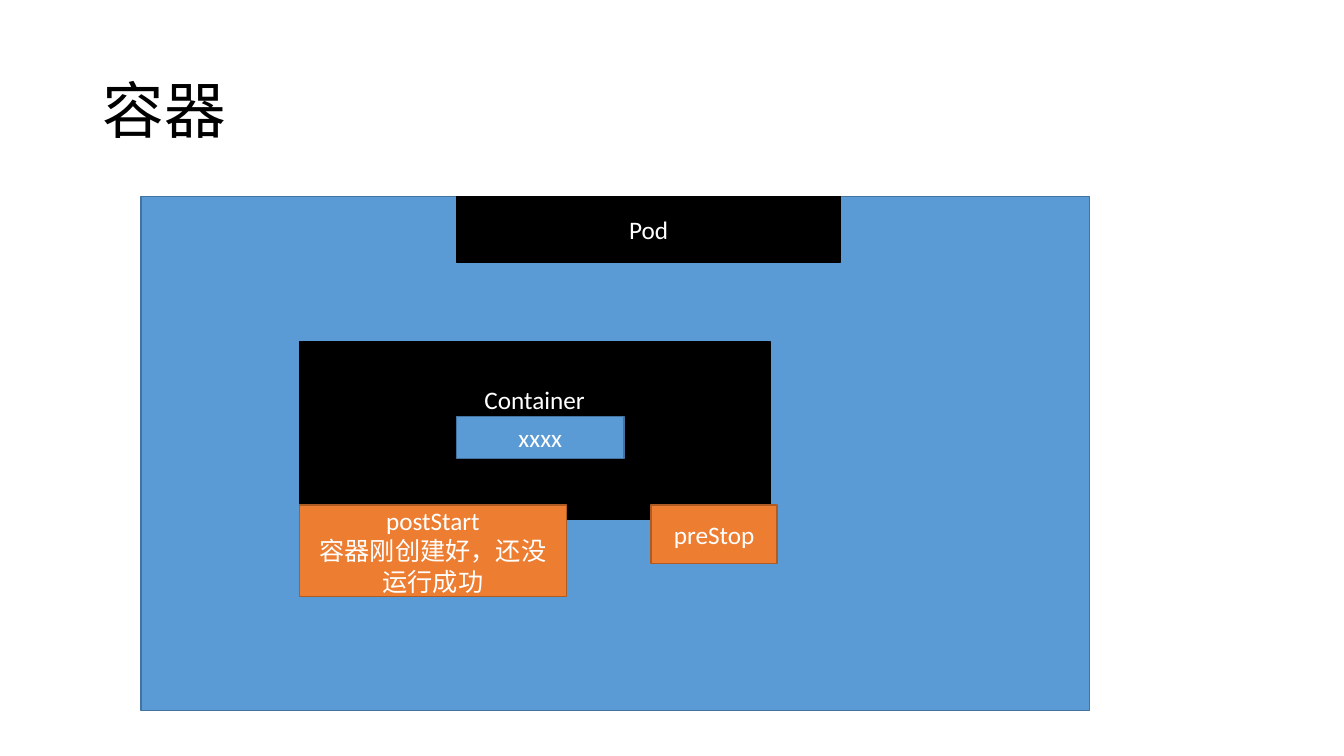
from dataclasses import dataclass

from pptx import Presentation
from pptx.dml.color import RGBColor
from pptx.enum.shapes import MSO_SHAPE
from pptx.enum.text import MSO_ANCHOR, PP_ALIGN
from pptx.util import Pt


@dataclass(frozen=True)
class Theme:
    font: str = "Calibri"
    title_size: float = 44
    body_size: float = 18
    black: str = "000000"
    white: str = "FFFFFF"
    blue: str = "5B9BD5"
    blue_edge: str = "43739E"
    orange: str = "ED7D31"
    orange_edge: str = "AF5C24"


THEME = Theme()
BLACK_STYLE = (THEME.black, THEME.black)
BLUE_STYLE = (THEME.blue, THEME.blue_edge)
ORANGE_STYLE = (THEME.orange, THEME.orange_edge)


def style_paragraph(para, size, color):
    para.font.name = THEME.font
    para.font.size = Pt(size)
    para.font.color.rgb = RGBColor.from_string(color)


def add_title(page, text, left, top, width, height):
    box = page.shapes.add_textbox(Pt(left), Pt(top), Pt(width), Pt(height))
    frame = box.text_frame
    frame.word_wrap = True
    frame.vertical_anchor = MSO_ANCHOR.MIDDLE
    para = frame.paragraphs[0]
    para.text = text
    para.line_spacing = 0.9
    style_paragraph(para, THEME.title_size, THEME.black)


def add_block(page, style, left, top, width, height, text="", bottom_inset=3.6):
    fill, edge = style
    block = page.shapes.add_shape(
        MSO_SHAPE.RECTANGLE, Pt(left), Pt(top), Pt(width), Pt(height))
    block.shadow.inherit = False
    block.fill.solid()
    block.fill.fore_color.rgb = RGBColor.from_string(fill)
    block.line.color.rgb = RGBColor.from_string(edge)
    block.line.width = Pt(1)
    if not text:
        return
    frame = block.text_frame
    frame.word_wrap = True
    frame.vertical_anchor = MSO_ANCHOR.MIDDLE
    frame.margin_bottom = Pt(bottom_inset)
    frame.text = text
    for para in frame.paragraphs:
        para.alignment = PP_ALIGN.CENTER
        style_paragraph(para, THEME.body_size, THEME.white)


def main():
    deck = Presentation()
    deck.slide_width, deck.slide_height = Pt(960), Pt(540)
    page = deck.slides.add_slide(deck.slide_layouts[6])

    add_title(page, "容器", 66.2, 28.8, 828, 104.4)

    # Pod and its label
    pod_top, label_left = 140.4, 326.2
    add_block(page, BLUE_STYLE, 100.8, pod_top, 677.5, 367.2)
    add_block(page, BLACK_STYLE, label_left, pod_top, 274.3, 46.8, "Pod")

    # Container, its label raised above the inner block
    container_left = 213.8
    add_block(page, BLACK_STYLE, container_left, 244.1, 336.2, 126.7,
              "Container", bottom_inset=47.5)

    # Lifecycle hooks
    hook_top = 360.7
    add_block(page, ORANGE_STYLE, container_left, hook_top, 190.8, 65.5,
              "postStart\n容器刚创建好，还没运行成功")
    add_block(page, ORANGE_STYLE, 465.1, hook_top, 90, 41.8, "preStop")

    # Process inside the container
    add_block(page, BLUE_STYLE, label_left, 297.4, 119.5, 30.2, "xxxx")

    deck.save("out.pptx")


if __name__ == "__main__":
    main()
